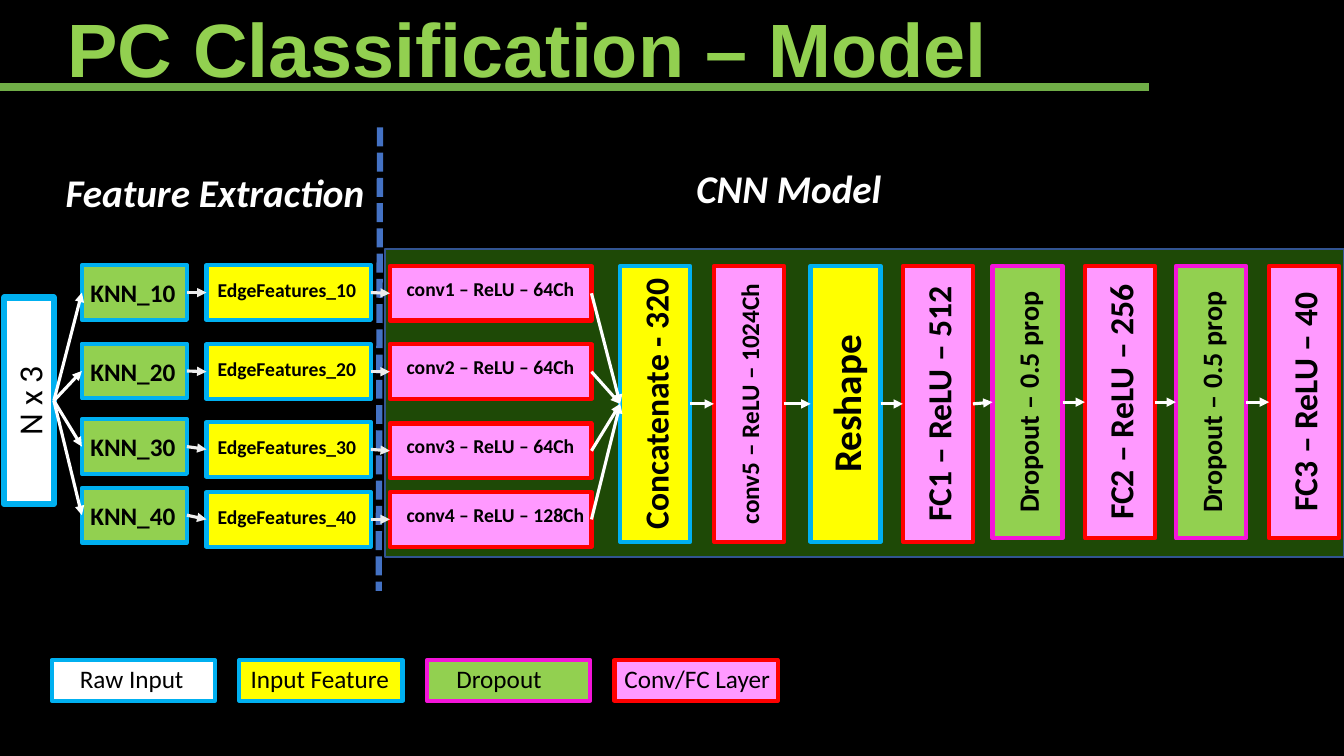
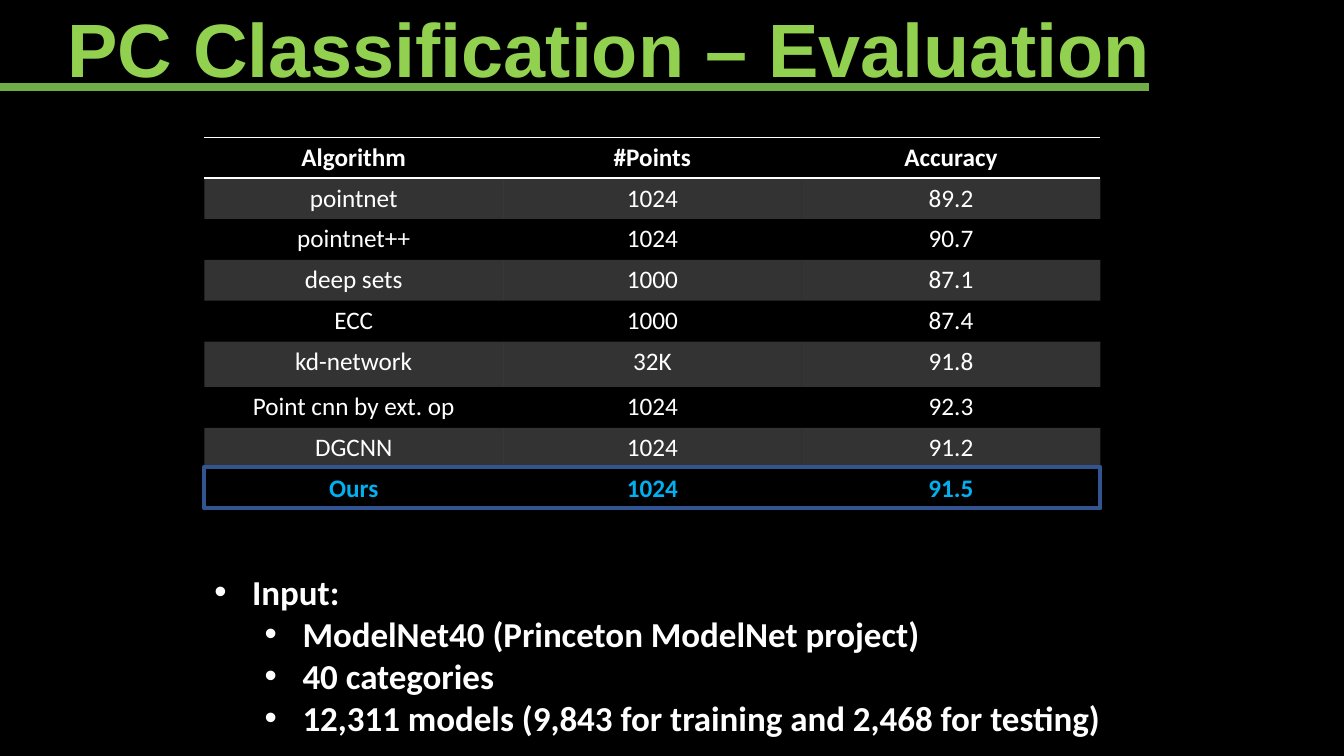
"""Build two slides on point cloud classification: model and evaluation."""
from lxml import etree
from pptx import Presentation
from pptx.dml.color import RGBColor
from pptx.enum.dml import MSO_LINE
from pptx.enum.shapes import MSO_CONNECTOR, MSO_SHAPE
from pptx.enum.text import MSO_ANCHOR, PP_ALIGN
from pptx.oxml.ns import qn
from pptx.util import Pt

RECT, LINE = MSO_SHAPE.RECTANGLE, MSO_CONNECTOR.STRAIGHT
LEFT, MID = PP_ALIGN.LEFT, PP_ALIGN.CENTER
TOP, CENTER = MSO_ANCHOR.TOP, MSO_ANCHOR.MIDDLE
DASH = MSO_LINE.SQUARE_DOT
WEST, EAST = 1, 3

HUE = {
    "black": "000000", "white": "FFFFFF", "pale": "EDEDED",
    "title": "92D050", "rule": "70AD47", "split": "4472C4",
    "panel": "65F216", "navy": "325491", "sky": "00B0F0",
    "lime": "92D050", "yellow": "FFFF00", "pink": "FF99FF",
    "red": "FF0000", "magenta": "F414D9",
}
KINDS = {
    "raw": ("white", "sky"), "knn": ("lime", "sky"),
    "input": ("yellow", "sky"), "drop": ("lime", "magenta"),
    "layer": ("pink", "red"),
}

HEADS = [("Feature Extraction", 32, 117), ("CNN Model", 442, 114)]
LANES = [
    ("knn", 58.5, 75, 18, 6, 0, [189.5, 245.5, 299.5, 348.5],
     ["KNN_10", "KNN_20", "KNN_30", "KNN_40"]),
    ("input", 147.5, 117.4, 14, 8, 2, [189.5, 246, 301.5, 351.5],
     ["EdgeFeatures_10", "EdgeFeatures_20", "EdgeFeatures_30",
      "EdgeFeatures_40"]),
    ("layer", 278.5, 144, 14, 12, 3.5, [190, 246, 302.5, 351.5],
     ["conv1 – ReLU – 64Ch", "conv2 – ReLU – 64Ch",
      "conv3 – ReLU – 64Ch", "conv4 – ReLU – 128Ch"]),
]
STAGES = [
    ("input", "Concatenate - 320", 24, 443, 197),
    ("layer", "conv5 – ReLU – 1024Ch", 18, 510, 197),
    ("input", "Reshape", 28, 579, 197),
    ("layer", "FC1 – ReLU – 512", 24, 645, 197),
    ("drop", "Dropout – 0.5 prop", 20, 709, 194.5),
    ("layer", "FC2 – ReLU – 256", 24, 775, 194.5),
    ("drop", "Dropout – 0.5 prop", 20, 840, 194.5),
    ("layer", "FC3 – ReLU – 40", 24, 906.5, 194.5),
]
LEGEND = [("raw", "Raw Input", 20), ("input", "Input Feature", 8),
          ("drop", "Dropout", 21), ("layer", "Conv/FC Layer", 7)]

SCORES = [
    ("Algorithm", "#Points", "Accuracy"),
    ("pointnet", "1024", "89.2"),
    ("pointnet++", "1024", "90.7"),
    ("deep sets", "1000", "87.1"),
    ("ECC", "1000", "87.4"),
    ("kd-network", "32K", "91.8"),
    ("Point cnn by ext. op", "1024", "92.3"),
    ("DGCNN", "1024", "91.2"),
    ("Ours", "1024", "91.5"),
]
NOTES = [
    (0, "Input:"),
    (1, "ModelNet40 (Princeton ModelNet project)"),
    (1, "40 categories"),
    (1, "12,311 models (9,843 for training and 2,468 for testing)"),
]
PLAIN = "{2D5ABB26-0587-4C30-8999-92F81FD0307C}"


def rgb(name):
    return RGBColor.from_string(HUE[name])


def paint(fill, name, alpha=None):
    fill.solid()
    fill.fore_color.rgb = rgb(name)
    if alpha:
        clr = fill._xPr.find(qn("a:solidFill"))[0]
        etree.SubElement(clr, qn("a:alpha"), val=str(alpha * 1000))


def style(para, size, hue, bold=False, slant=False, font="Calibri", align=LEFT):
    para.alignment = align
    for run in para.runs:
        run.font.name, run.font.size = font, Pt(size)
        run.font.bold, run.font.italic = bold, slant
        run.font.color.rgb = rgb(hue)


def label(slide, text, x, y, w, h, size, hue, **look):
    frame = slide.shapes.add_textbox(Pt(x), Pt(y), Pt(w), Pt(h)).text_frame
    frame.word_wrap = True
    frame.vertical_anchor = TOP
    frame.text = text
    for para in frame.paragraphs:
        style(para, size, hue, **look)
    return frame


def block(slide, x, y, w, h, edge, width, fill=None, alpha=None):
    box = slide.shapes.add_shape(RECT, Pt(x), Pt(y), Pt(w), Pt(h))
    box.shadow.inherit = False
    box.line.color.rgb = rgb(edge)
    box.line.width = Pt(width)
    if fill:
        paint(box.fill, fill, alpha)
    else:
        box.fill.background()
    return box


def node(slide, kind, text, x, y, w, h, size, pad=None, lift=0,
         bold=True, turn=False, width=3):
    fill, edge = KINDS[kind]
    box = block(slide, x, y, w, h, edge, width, fill)
    frame = box.text_frame
    frame.word_wrap = True
    frame.vertical_anchor = CENTER
    frame.margin_left = Pt(pad or 0)
    frame.margin_right = frame.margin_top = 0
    frame.margin_bottom = Pt(2 * lift)
    frame.text = text
    style(frame.paragraphs[0], size, "black", bold,
          align=MID if pad is None else LEFT)
    if turn:
        frame._txBody.bodyPr.set("vert", "vert270")
    return box


def stroke(slide, ends, hue, width, dash=None, tip=False):
    line = slide.shapes.add_connector(LINE, *map(Pt, ends))
    line.line.color.rgb = rgb(hue)
    line.line.width = Pt(width)
    if dash:
        line.line.dash_style = dash
    props = line._element.spPr
    if tip:
        etree.SubElement(props.find(qn("a:ln")), qn("a:tailEnd"),
                         type="triangle")
    etree.SubElement(props, qn("a:effectLst"))
    return line


def join(slide, start, end, hue="white"):
    line = stroke(slide, (0, 0, 0, 0), hue, 2.25, tip=True)
    line.begin_connect(start, EAST)
    line.end_connect(end, WEST)


def begin(deck, title):
    slide = deck.slides.add_slide(deck.slide_layouts[6])
    paint(slide.background.fill, "black")
    stroke(slide, (0, 62, 821, 62), "rule", 6)
    label(slide, title, 41, -2, 919, 73, 54, "title", bold=True, font="Arial")
    return slide


def model(deck):
    slide = begin(deck, "PC Classification – Model")
    block(slide, 275, 178, 685, 220, "navy", 1, "panel", 30)
    stroke(slide, (271.5, 91, 270.5, 422), "split", 4.5, DASH)
    for text, x, y in HEADS:
        label(slide, text, x, y, 243, 41, 28, "white",
              bold=True, slant=True, align=MID)

    raw = node(slide, "raw", "N x 3", 3, 212.5, 35.5, 147.5, 24,
               bold=False, turn=True, width=4.5)
    lanes = [[node(slide, kind, text, x, y, w, 39, size, pad, lift)
              for y, text in zip(tops, texts)]
             for kind, x, w, size, pad, lift, tops, texts in LANES]
    stages = [node(slide, kind, text, x, 190, 50, h, size, turn=True)
              for kind, text, size, x, h in STAGES]

    for knn, edge, conv in zip(*lanes):
        join(slide, raw, knn)
        join(slide, knn, edge, "pale")
        join(slide, edge, conv, "pale")
        join(slide, conv, stages[0])
    for start, end in zip(stages, stages[1:]):
        join(slide, start, end)

    for i, (kind, text, pad) in enumerate(LEGEND):
        node(slide, kind, text, 37 + 134 * i, 471.5, 116.5, 29, 18,
             pad, 1.5, bold=False)


def border(cell, side):
    props = cell._tc.get_or_add_tcPr()
    line = etree.SubElement(props, qn("a:ln" + side), w=str(Pt(1)))
    fill = etree.SubElement(line, qn("a:solidFill"))
    etree.SubElement(fill, qn("a:srgbClr"), val=HUE["white"])


def scores(slide, x, y, w):
    last = len(SCORES) - 1
    sizes = [32.4 if row[0] == "kd-network" else 29.2 for row in SCORES]
    table = slide.shapes.add_table(len(SCORES), 3, Pt(x), Pt(y), Pt(w),
                                   Pt(sum(sizes))).table
    table.first_row = table.horz_banding = False
    table._tbl.tblPr.find(qn("a:tableStyleId")).text = PLAIN
    for i, row in enumerate(SCORES):
        table.rows[i].height = Pt(sizes[i])
        sides = {0: "TB", last: "B"}.get(i, "")
        for j, text in enumerate(row):
            cell = table.cell(i, j)
            cell.text = text
            style(cell.text_frame.paragraphs[0], 18,
                  "sky" if i == last else "white",
                  bold=i in (0, last), align=MID)
            for side in sides:
                border(cell, side)
            if i % 2:
                paint(cell.fill, "white", 20)
            else:
                cell.fill.background()
    return y + sum(sizes)


def results(deck):
    slide = begin(deck, "PC Classification – Evaluation")
    x, w = 146, 640
    base = scores(slide, x, 98, w)
    frame = label(slide, "\n".join(text for _, text in NOTES),
                  x, 404, 726, 128, 25, "white", bold=True)
    for para, (level, _) in zip(frame.paragraphs, NOTES):
        para.level = level
        props = para._p.get_or_add_pPr()
        props.set("marL", str(Pt(27 + 36 * level)))
        props.set("indent", str(-Pt(27)))
        etree.SubElement(props, qn("a:buFont"), typeface="Arial")
        etree.SubElement(props, qn("a:buChar"), char="•")
    block(slide, x, base - 30.5, w, 29.5, "navy", 3)


def main():
    deck = Presentation()
    deck.slide_width, deck.slide_height = Pt(960), Pt(540)
    model(deck)
    results(deck)
    deck.save("out.pptx")


if __name__ == "__main__":
    main()
